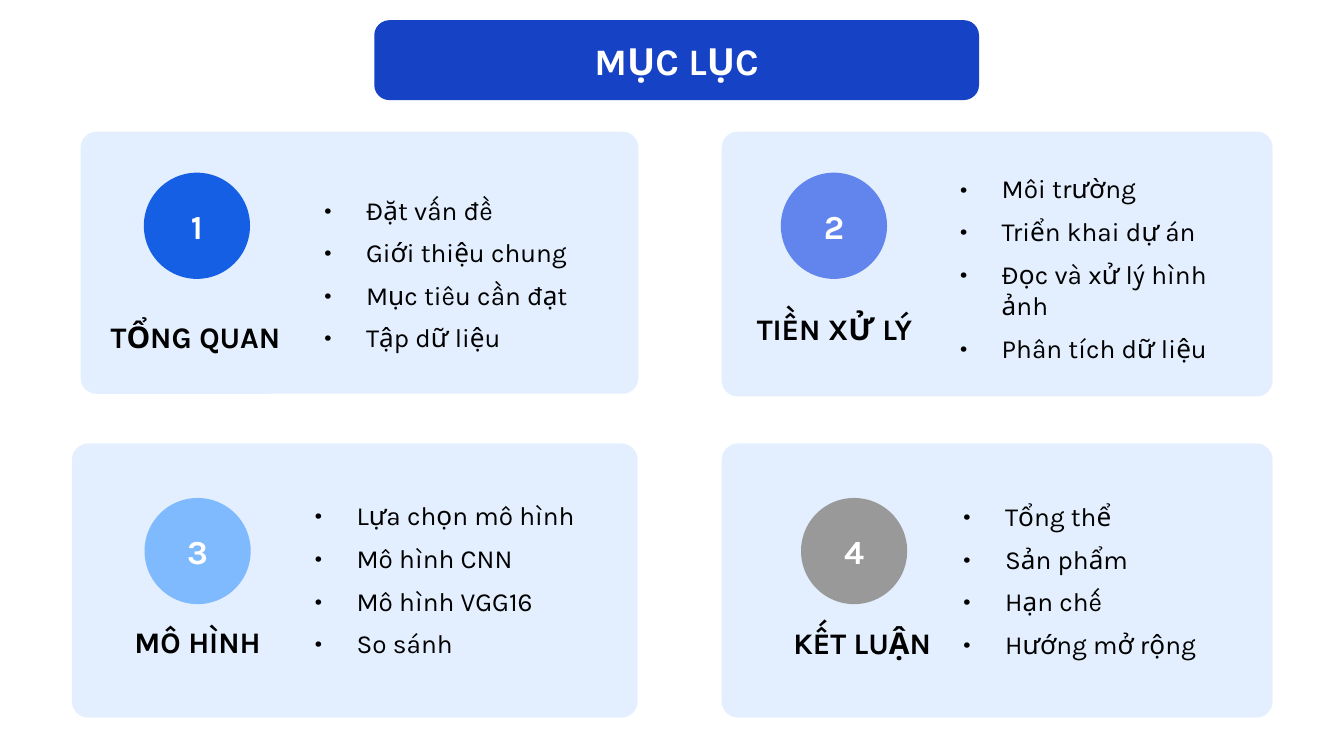
from lxml import etree
from pptx import Presentation
from pptx.dml.color import RGBColor
from pptx.enum.shapes import MSO_SHAPE
from pptx.enum.text import MSO_ANCHOR, PP_ALIGN
from pptx.oxml.ns import qn
from pptx.util import Emu, Pt

ROUNDED, CIRCLE = MSO_SHAPE.ROUNDED_RECTANGLE, MSO_SHAPE.OVAL
MIDDLE, CENTER, LEFT = MSO_ANCHOR.MIDDLE, PP_ALIGN.CENTER, PP_ALIGN.LEFT
PX = 4572  # 200 px to the inch
INSET, INDENT, BADGE = 20, 62, 158

THEME = {
    "font": "Karla",
    "title_fill": "1642C5", "card_fill": "2A8BFD", "card_alpha": 13,
    "light": "FFFFFF", "dark": "000000",
    "title_size": 20, "number_size": 18, "heading_size": 16, "item_size": 14,
    "item_gap": 3,
}

# Boxes are left, top, width, height; a badge gives left, top.
SECTIONS = [
    {"number": "1", "heading": "TỔNG QUAN", "color": "155FE5",
     "card": (120, 196, 830, 390), "badge": (214, 257),
     "heading_box": (120, 459, 342, 84), "list_box": (463, 264, 462, 286),
     "items": ["Đặt vấn đề", "Giới thiệu chung", "Mục tiêu cần đạt", "Tập dữ liệu"]},
    {"number": "2", "heading": "TIỀN XỬ LÝ", "color": "6285ED",
     "card": (1074, 196, 820, 394), "badge": (1162, 257),
     "heading_box": (1056, 416, 372, 146), "list_box": (1409, 256, 478, 286),
     "items": ["Môi trường", "Triển khai dự án", "Đọc và xử lý hình ảnh",
               "Phân tích dữ liệu"]},
    {"number": "3", "heading": "MÔ HÌNH", "color": "7FB9FE",
     "card": (107, 660, 842, 408), "badge": (215, 741),
     "heading_box": (145, 920, 298, 70), "list_box": (449, 677, 558, 370),
     "items": ["Lựa chọn mô hình", "Mô hình CNN", "Mô hình VGG16", "So sánh"]},
    {"number": "4", "heading": "KẾT LUẬN", "color": "999999",
     "card": (1074, 660, 820, 408), "badge": (1192, 741),
     "heading_box": (1074, 920, 418, 72), "list_box": (1414, 720, 486, 286),
     "items": ["Tổng thể", "Sản phẩm", "Hạn chế", "Hướng mở rộng"]},
]

deck = Presentation()
deck.slide_width, deck.slide_height = Emu(2000 * PX), Emu(1125 * PX)
page = deck.slides.add_slide(deck.slide_layouts[6])


def add_panel(kind, box, color):
    panel = page.shapes.add_shape(kind, *[Emu(n * PX) for n in box])
    panel.shadow.inherit = False
    panel.fill.solid()
    panel.fill.fore_color.rgb = RGBColor.from_string(color)
    panel.line.fill.background()
    return panel


def write(shape, lines, size, color, bold=True, bulleted=False):
    """Fill a shape with one paragraph per line, centred unless bulleted."""
    frame = shape.text_frame
    frame.word_wrap = True
    frame.vertical_anchor = MIDDLE
    frame.margin_left = frame.margin_right = Emu(INSET * PX)
    frame.margin_top = frame.margin_bottom = Emu(INSET * PX)
    for index, line in enumerate(lines):
        para = frame.add_paragraph() if index else frame.paragraphs[0]
        para.alignment = LEFT if bulleted else CENTER
        if bulleted:
            properties = para._p.get_or_add_pPr()
            properties.set("marL", str(INDENT * PX))
            properties.set("indent", str(-INDENT * PX))
            bullet_color = etree.SubElement(properties, qn("a:buClr"))
            etree.SubElement(bullet_color, qn("a:srgbClr"), val=color)
            etree.SubElement(properties, qn("a:buFont"), typeface=THEME["font"])
            etree.SubElement(properties, qn("a:buChar"), char="•")
            para.space_after = Pt(THEME["item_gap"])
            if index:
                para.space_before = Pt(THEME["item_gap"])
        span = para.add_run()
        span.text = line
        span.font.name = THEME["font"]
        span.font.size = Pt(size)
        span.font.bold = bold
        span.font.color.rgb = RGBColor.from_string(color)


title = add_panel(ROUNDED, (557, 30, 900, 119), THEME["title_fill"])
title.adjustments[0] = 0.19
write(title, ["MỤC LỤC"], THEME["title_size"], THEME["light"])

for section in SECTIONS:
    card = add_panel(ROUNDED, section["card"], THEME["card_fill"])
    card.adjustments[0] = 0.06
    card_color = card._element.spPr.find(qn("a:solidFill"))[0]
    etree.SubElement(card_color, qn("a:alpha"), val=str(THEME["card_alpha"] * 1000))

    badge = add_panel(CIRCLE, (*section["badge"], BADGE, BADGE), section["color"])
    write(badge, [section["number"]], THEME["number_size"], THEME["light"])

    heading = page.shapes.add_textbox(*[Emu(n * PX) for n in section["heading_box"]])
    write(heading, [section["heading"]], THEME["heading_size"], THEME["dark"])

    items = page.shapes.add_textbox(*[Emu(n * PX) for n in section["list_box"]])
    write(items, section["items"], THEME["item_size"], THEME["dark"],
          bold=False, bulleted=True)

deck.save("out.pptx")
